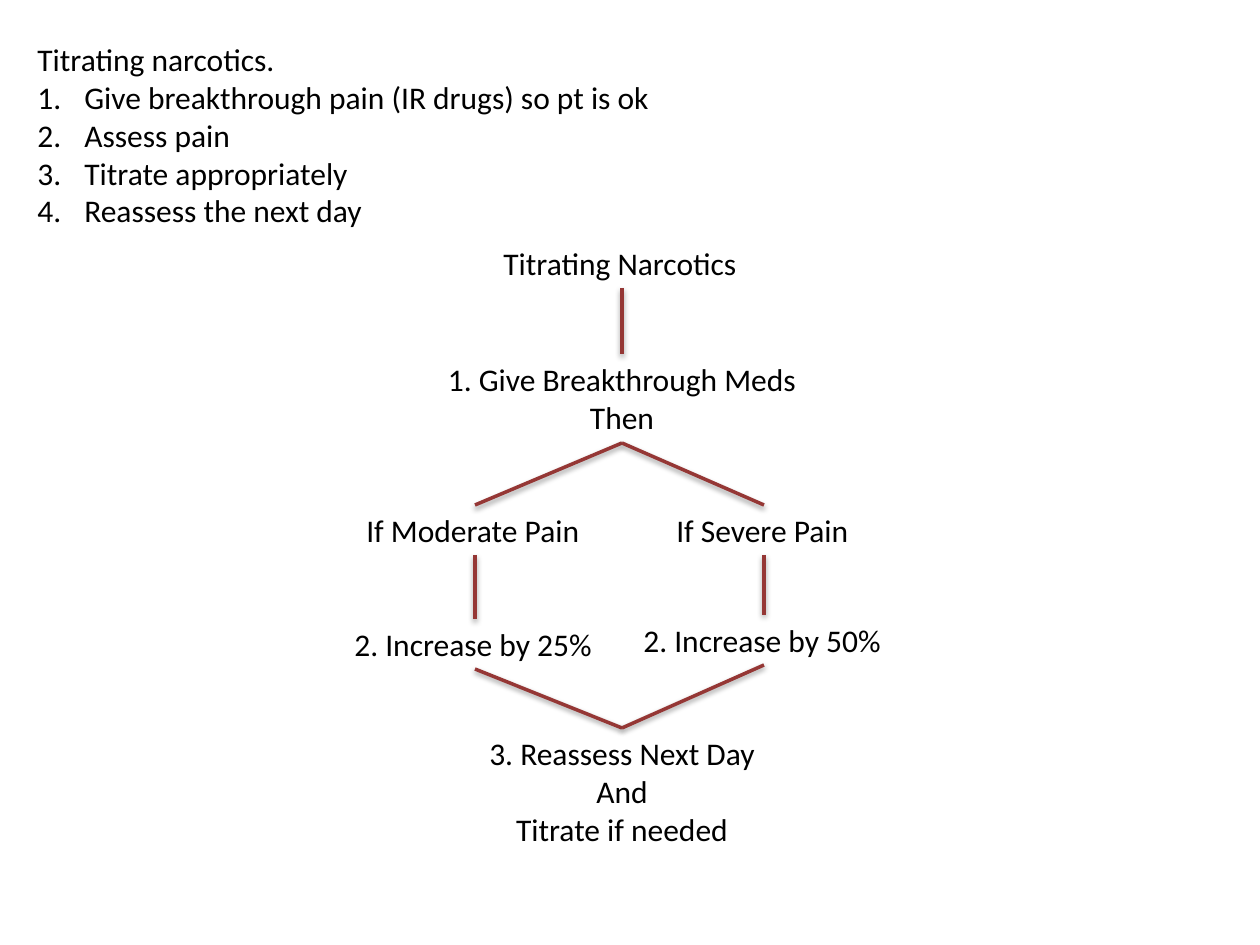
from lxml.etree import SubElement
from pptx import Presentation
from pptx.dml.color import RGBColor
from pptx.enum.shapes import MSO_CONNECTOR
from pptx.enum.text import MSO_AUTO_SIZE, PP_ALIGN
from pptx.oxml.ns import qn
from pptx.util import Emu, Pt

BLACK = RGBColor(0x00, 0x00, 0x00)
DARK_RED = RGBColor(0x95, 0x37, 0x35)
TOP, BOTTOM = 0, 2


def px(length):
    return Emu(round(length * 914400 / 126))


prs = Presentation()
prs.slide_width, prs.slide_height = px(1260), px(945)
slide = prs.slides.add_slide(prs.slide_layouts[6])


def add_text(left, top, width, height, lines, align=PP_ALIGN.LEFT, numbered=False):
    box = slide.shapes.add_textbox(px(left), px(top), px(width), px(height))
    frame = box.text_frame
    frame.word_wrap = False
    frame.auto_size = MSO_AUTO_SIZE.SHAPE_TO_FIT_TEXT
    frame.text = "\n".join(lines)
    for index, paragraph in enumerate(frame.paragraphs):
        paragraph.alignment = align
        if numbered and index > 0:
            properties = paragraph._p.get_or_add_pPr()
            properties.set("marL", str(px(47)))
            properties.set("indent", str(-px(47)))
            SubElement(properties, qn("a:buFont"), typeface="+mj-lt")
            SubElement(properties, qn("a:buAutoNum"), type="arabicPeriod")
        paragraph.font.name = "Calibri"
        paragraph.font.size = Pt(18)
        paragraph.font.color.rgb = BLACK
    return box


# Numbered steps; the first line is their heading
add_text(25, 34, 645, 204, [
    "Titrating narcotics.",
    "Give breakthrough pain (IR drugs) so pt is ok",
    "Assess pain",
    "Titrate appropriately",
    "Reassess the next day",
], numbered=True)

# Flow chart: centre, top, width, height, lines
CENTRE, MODERATE, SEVERE = 622, 475, 764
steps = {
    "start": (CENTRE, 238, 262, 50, ["Titrating Narcotics"]),
    "breakthrough": (CENTRE, 354, 380, 89, ["1. Give Breakthrough Meds", "Then"]),
    "moderate": (MODERATE, 505, 242, 50, ["If Moderate Pain"]),
    "severe": (SEVERE, 505, 200, 50, ["If Severe Pain"]),
    "increase 25": (MODERATE, 619, 266, 50, ["2. Increase by 25%"]),
    "increase 50": (SEVERE, 615, 266, 50, ["2. Increase by 50%"]),
    "reassess": (CENTRE, 728, 296, 127,
                 ["3. Reassess Next Day", "And", "Titrate if needed"]),
}
boxes = {}
for step, (centre, top, width, height, lines) in steps.items():
    align = PP_ALIGN.CENTER if len(lines) > 1 else PP_ALIGN.LEFT
    boxes[step] = add_text(centre - width // 2, top, width, height, lines, align)

# Lines from the bottom of one step to the top of the next
links = [
    ("start", "breakthrough"),
    ("breakthrough", "moderate"),
    ("breakthrough", "severe"),
    ("moderate", "increase 25"),
    ("severe", "increase 50"),
    ("increase 25", "reassess"),
    ("increase 50", "reassess"),
]
for upper, lower in links:
    link = slide.shapes.add_connector(MSO_CONNECTOR.STRAIGHT, 0, 0, 0, 0)
    link.begin_connect(boxes[upper], BOTTOM)
    link.end_connect(boxes[lower], TOP)
    link.line.color.rgb = DARK_RED
    link.line.width = Pt(2)

    # Soft shadow straight below the line
    effects = SubElement(link._element.spPr, qn("a:effectLst"))
    shadow = SubElement(effects, qn("a:outerShdw"), blurRad="40000", dist="20000",
                        dir="5400000", rotWithShape="0")
    shade = SubElement(shadow, qn("a:srgbClr"), val=str(BLACK))
    SubElement(shade, qn("a:alpha"), val="38000")

prs.save("out.pptx")
